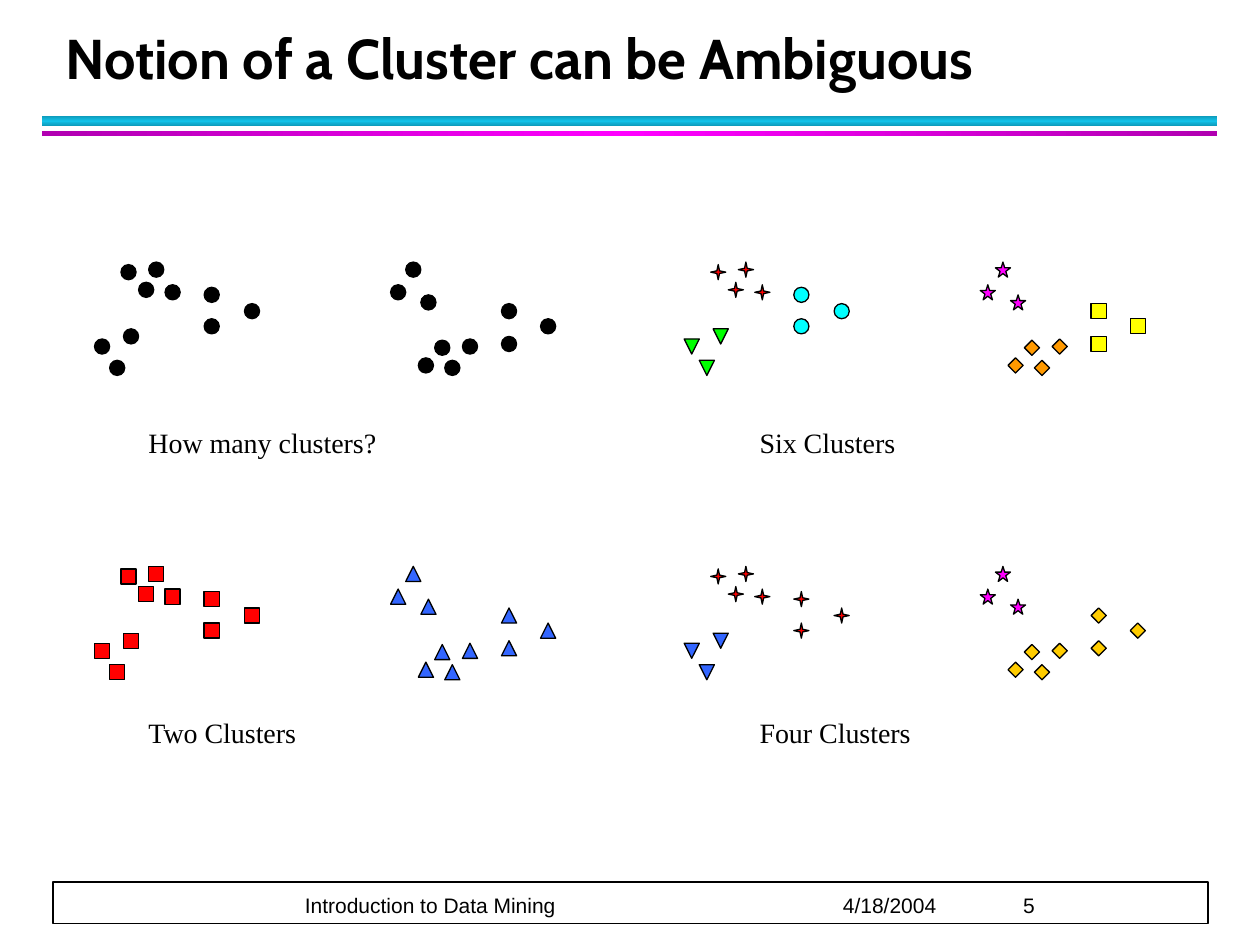
from copy import deepcopy

from pptx import Presentation
from pptx.dml.color import RGBColor
from pptx.enum.shapes import MSO_SHAPE as Shape
from pptx.enum.text import MSO_ANCHOR as Anchor
from pptx.oxml.ns import qn
from pptx.oxml.xmlchemy import OxmlElement
from pptx.util import Inches, Pt

COLORS = {
    "black": "000000", "white": "FFFFFF", "red": "FF0000", "blue": "3366FF",
    "green": "00FF00", "cyan": "00FFFF", "yellow": "FFFF00", "orange": "FF9900",
    "gold": "FFCC00", "magenta": "FF00FF", "dark magenta": "B100B1",
    "sky": "12C2E9", "dark sky": "0E9AB9",
}

POINTS = {
    "left top": [(1.31, 2.26), (0.96, 2.1), (1.18, 2.08), (1.1, 2.24)],
    "left bottom": [(0.98, 2.61), (0.75, 2.69), (0.87, 2.86)],
    "left side": [(1.62, 2.28), (1.94, 2.41), (1.62, 2.53)],
    "right top": [(3.34, 2.34), (3.1, 2.26), (3.22, 2.08)],
    "right bottom": [(3.67, 2.69), (3.32, 2.84), (3.53, 2.86), (3.45, 2.7)],
    "right side": [(3.98, 2.67), (4.29, 2.53), (3.98, 2.41)],
}
MARKER_SIZE = 0.12
PANEL_STEP_X, PANEL_STEP_Y = 4.68, 2.415

dot = (Shape.OVAL, "black")
square = (Shape.RECTANGLE, "red")
triangle = (Shape.ISOSCELES_TRIANGLE, "blue")
spark = (Shape.STAR_4_POINT, "red")
star = (Shape.STAR_5_POINT, "magenta")
diamond = (Shape.DIAMOND, "gold")

PANELS = [
    ("How many clusters?", 0, 0, 1.08, 3.33, [dot] * 6),
    ("Six Clusters", 1, 0, 5.93, 3.33,
     [spark, (Shape.FLOWCHART_MERGE, "green"), (Shape.OVAL, "cyan"),
      star, (Shape.DIAMOND, "orange"), (Shape.RECTANGLE, "yellow")]),
    ("Two Clusters", 0, 1, 1.08, 5.63, [square] * 3 + [triangle] * 3),
    ("Four Clusters", 1, 1, 5.93, 5.63,
     [spark, (Shape.FLOWCHART_MERGE, "blue"), spark, star, diamond, diamond]),
]


def add_marker(shapes, kind, left, top, width, height, fill, line_width):
    shape = shapes.add_shape(kind, Inches(left), Inches(top), Inches(width), Inches(height))
    shape.shadow.inherit = False
    shape.fill.solid()
    shape.fill.fore_color.rgb = RGBColor.from_string(COLORS[fill])
    shape.line.color.rgb = RGBColor.from_string(COLORS["black"])
    shape.line.width = Pt(line_width)
    return shape


def add_text(shapes, texts, left, top, width, height, font, size, bold=False):
    box = shapes.add_textbox(Inches(left), Inches(top), Inches(width), Inches(height))
    box.text_frame.word_wrap = True
    paragraph = box.text_frame.paragraphs[0]
    for text in texts:
        run = paragraph.add_run()
        run.text = text
        run.font.name = font
        run.font.size = Pt(size)
        run.font.bold = bold
        run.font.color.rgb = RGBColor.from_string(COLORS["black"])
    return box.text_frame


presentation = Presentation()
presentation.slide_width = Inches(10)
presentation.slide_height = Inches(7.5)
slide = presentation.slides.add_slide(presentation.slide_layouts[6])

for top, height, angle, edge, middle in [
    (0.92, 0.08, 90, "dark sky", "sky"),
    (1.04, 0.04, 0, "dark magenta", "magenta"),
]:
    rule = add_marker(slide.shapes, Shape.RECTANGLE, 0.33, top, 9.33, height, edge, 0)
    rule.line.fill.background()
    rule.fill.gradient()
    rule.fill.gradient_angle = angle
    stop_list = rule._element.spPr.find(".//" + qn("a:gsLst"))
    stop_list.insert(1, deepcopy(stop_list[0]))
    stops = zip(rule.fill.gradient_stops, (edge, middle, edge), (0, 0.5, 1))
    for stop, color, position in stops:
        stop.color.rgb = RGBColor.from_string(COLORS[color])
        stop.position = position

title = add_text(slide.shapes, ["Notion of a Cluster can be Ambiguous"],
                 0.42, 0.17, 9.06, 0.6, "Cabin", 32, True)
title.vertical_anchor = Anchor.BOTTOM
title.paragraphs[0].line_spacing = Pt(36)

for caption, column, row, caption_left, caption_top, markers in PANELS:
    panel = slide.shapes.add_group_shape()
    for points, (kind, color) in zip(POINTS.values(), markers):
        for x, y in points:
            add_marker(panel.shapes, kind, x + column * PANEL_STEP_X, y + row * PANEL_STEP_Y,
                       MARKER_SIZE, MARKER_SIZE, color, 0.75)
    add_text(panel.shapes, [caption], caption_left, caption_top, 2.5, 0.37,
             "Times New Roman", 16)

add_marker(slide.shapes, Shape.RECTANGLE, 0.42, 7, 9.17, 0.33, "white", 1)
footer = add_text(slide.shapes, ["\tIntroduction to Data Mining", "\t4/18/2004", "\t5"],
                  0.42, 7, 9.15, 0.28, "Arial", 12)
footer.margin_left = footer.margin_right = footer.margin_top = footer.margin_bottom = 0
footer.vertical_anchor = Anchor.BOTTOM
footer.paragraphs[0].line_spacing = Pt(20)
tab_list = OxmlElement("a:tabLst")
for position in (2, 6.27, 7.7):
    tab = OxmlElement("a:tab")
    tab.set("pos", str(Inches(position)))
    tab.set("algn", "l")
    tab_list.append(tab)
footer.paragraphs[0]._p.get_or_add_pPr().append(tab_list)

presentation.save("out.pptx")
